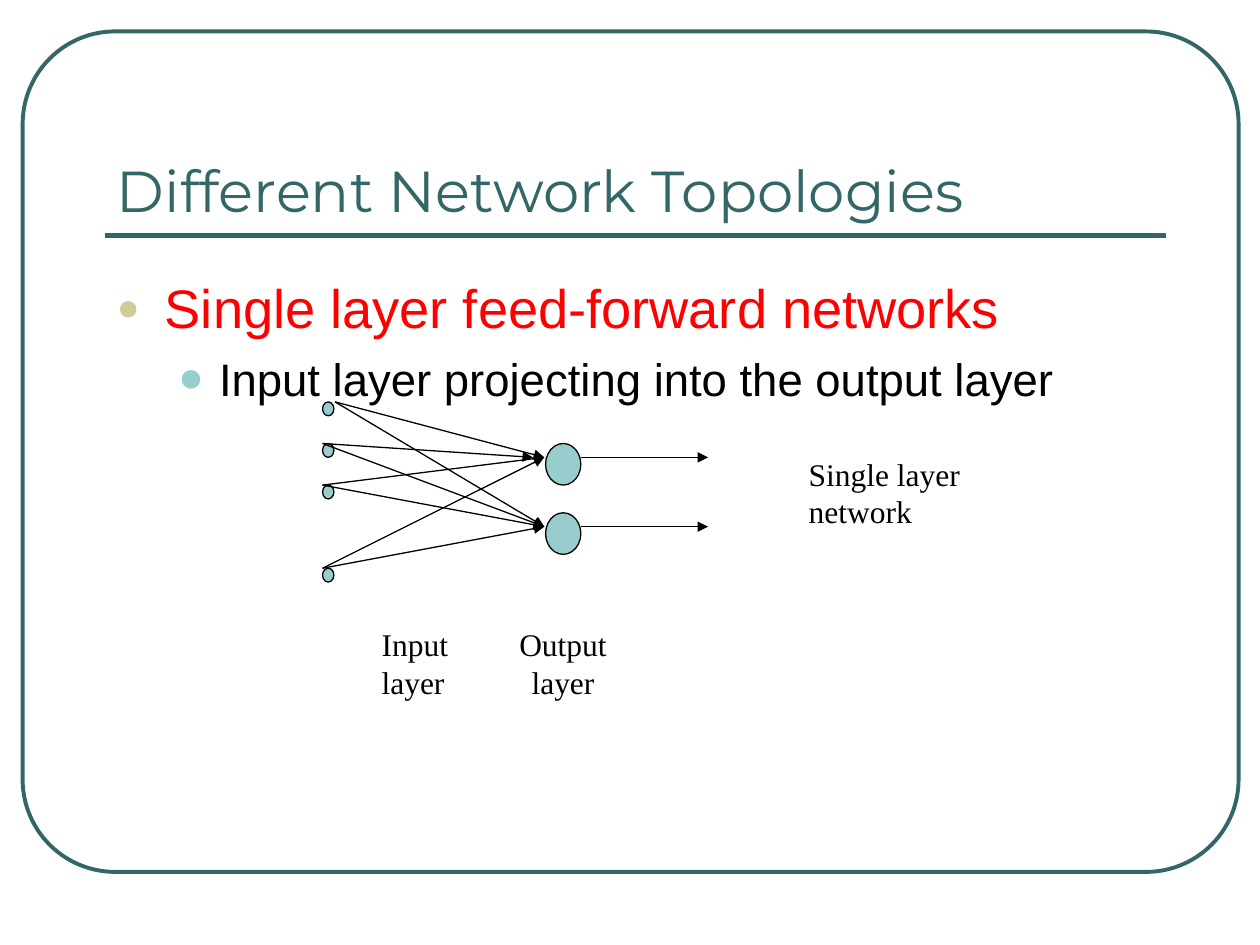
from itertools import product

from lxml.etree import SubElement
from pptx import Presentation
from pptx.dml.color import RGBColor
from pptx.enum.shapes import MSO_CONNECTOR, MSO_SHAPE
from pptx.enum.text import MSO_ANCHOR
from pptx.oxml.ns import qn
from pptx.util import Inches, Pt

TEAL = RGBColor(0x33, 0x66, 0x66)
AQUA = RGBColor(0x97, 0xCD, 0xCC)
SAND = RGBColor(0xCC, 0xCC, 0x99)
RED = RGBColor(0xFF, 0, 0)
BLACK = RGBColor(0, 0, 0)
WHITE = RGBColor(0xFF, 0xFF, 0xFF)


class TopologySlide:
    heading_font, body_font, label_font = "Montserrat", "Arial", "Times New Roman"
    thin = 0.75

    def __init__(self, slide):
        self.slide = slide

    def shape(self, kind, left, top, width, height, fill=None, line=BLACK, weight=thin):
        shape = self.slide.shapes.add_shape(
            kind, Inches(left), Inches(top), Inches(width), Inches(height))
        shape.shadow.inherit = False
        if fill is None:
            shape.fill.background()
        else:
            shape.fill.solid()
            shape.fill.fore_color.rgb = fill
        shape.line.color.rgb = line
        shape.line.width = Pt(weight)
        return shape

    def line(self, start, end, color=BLACK, weight=thin, arrow=False):
        line = self.slide.shapes.add_connector(
            MSO_CONNECTOR.STRAIGHT, *(Inches(value) for value in (*start, *end)))
        line.line.color.rgb = color
        line.line.width = Pt(weight)
        if arrow:
            outline = line._element.spPr.find(qn("a:ln"))
            SubElement(outline, qn("a:tailEnd"), type="triangle")
        SubElement(line._element.spPr, qn("a:effectLst"))

    def text_box(self, left, top, width, height, wrap=True, anchor=MSO_ANCHOR.TOP):
        box = self.slide.shapes.add_textbox(
            Inches(left), Inches(top), Inches(width), Inches(height))
        box.text_frame.word_wrap = wrap
        box.text_frame.vertical_anchor = anchor
        return box

    def set_text(self, paragraph, text, font, size, color):
        paragraph.text = text
        paragraph.font.name = font
        paragraph.font.size = Pt(size)
        paragraph.font.color.rgb = color

    def bullet(self, paragraph, char, color, percent, margin, hanging):
        props = paragraph._p.get_or_add_pPr()
        props.set("marL", str(Inches(margin)))
        props.set("indent", str(-Inches(hanging)))
        SubElement(SubElement(props, qn("a:buClr")), qn("a:srgbClr"), val=str(color))
        SubElement(props, qn("a:buSzPct"), val=str(percent * 1000))
        SubElement(props, qn("a:buFont"), typeface=self.body_font)
        SubElement(props, qn("a:buChar"), char=char)

    def label(self, lines, left, top, width, height, wrap=True, tabs=()):
        frame = self.text_box(left, top, width, height, wrap).text_frame
        for index, text in enumerate(lines):
            paragraph = frame.add_paragraph() if index else frame.paragraphs[0]
            if tabs:
                stops = SubElement(paragraph._p.get_or_add_pPr(), qn("a:tabLst"))
                for position, align in tabs:
                    SubElement(stops, qn("a:tab"), pos=str(Inches(position)), algn=align)
            self.set_text(paragraph, text, self.label_font, 18, BLACK)


def main():
    deck = Presentation()
    deck.slide_width, deck.slide_height = Inches(10), Inches(7.5)
    page = TopologySlide(deck.slides.add_slide(deck.slide_layouts[6]))

    # Frame and title rule
    frame = page.shape(MSO_SHAPE.ROUNDED_RECTANGLE, 0.18, 0.25, 9.65, 6.67,
                       line=TEAL, weight=2.25)
    frame.adjustments[0] = 0.11
    page.line((0.83, 1.87), (9.25, 1.87), TEAL, 3)

    # Title
    title = page.text_box(0.83, 0.58, 8.42, 1.25, anchor=MSO_ANCHOR.BOTTOM)
    page.set_text(title.text_frame.paragraphs[0], "Different Network Topologies",
                  page.heading_font, 33, TEAL)

    # Bulleted text
    body = page.text_box(0.83, 2.08, 8.42, 4.42)
    body.fill.solid()
    body.fill.fore_color.rgb = WHITE
    body.text_frame.margin_top = Inches(0.1)
    topic = body.text_frame.paragraphs[0]
    page.bullet(topic, "●", SAND, 70, 0.38, 0.38)
    page.set_text(topic, "Single layer feed-forward networks", page.body_font, 31, RED)
    detail = body.text_frame.add_paragraph()
    detail.level = 1
    detail.space_before = Pt(6.5)
    page.bullet(detail, "•", AQUA, 150, 0.81, 0.31)
    page.set_text(detail, "Input layer projecting into the output layer",
                  page.body_font, 26, BLACK)

    # Neurons: the fourth input step is left open
    input_left, output_left, output_width = 2.56, 4.33, 0.28
    input_tops = [3.19 + 0.33 * step for step in (0, 1, 2, 4)]
    output_tops = [3.52, 4.07]
    for top in output_tops:
        page.shape(MSO_SHAPE.OVAL, output_left, top, output_width, 0.33, AQUA)
    for top in input_tops:
        page.shape(MSO_SHAPE.OVAL, input_left, top, 0.09, 0.11, AQUA)

    # Every input feeds every output
    arrow_levels = [top + 0.11 for top in output_tops]
    for (row, top), (column, level) in product(enumerate(input_tops),
                                               enumerate(arrow_levels)):
        start = input_left + (0.1 if row == 0 else 0)
        end = 4.23 if (row, column) == (1, 0) else 4.32
        page.line((start, top), (end, level), arrow=True)
    for level in arrow_levels:
        page.line((output_left + output_width, level), (5.62, level), arrow=True)

    # Labels
    page.label(["\tInput\tOutput", "\tlayer\tlayer"], 2.69, 4.91, 2.61, 0.7,
               tabs=[(0.24, "l"), (1.68, "ctr")])
    page.label(["Single layer", "network"], 6.32, 3.56, 1.46, 0.7, wrap=False)

    deck.save("out.pptx")


if __name__ == "__main__":
    main()
